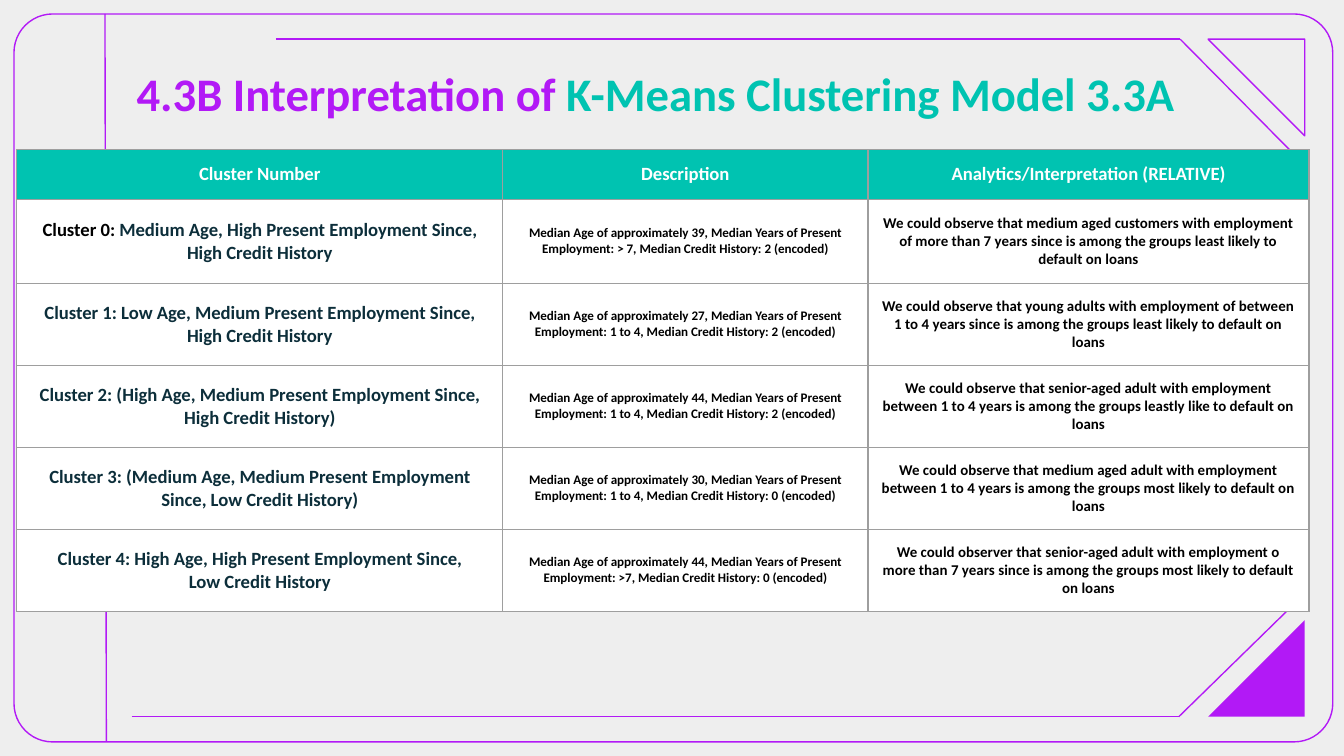
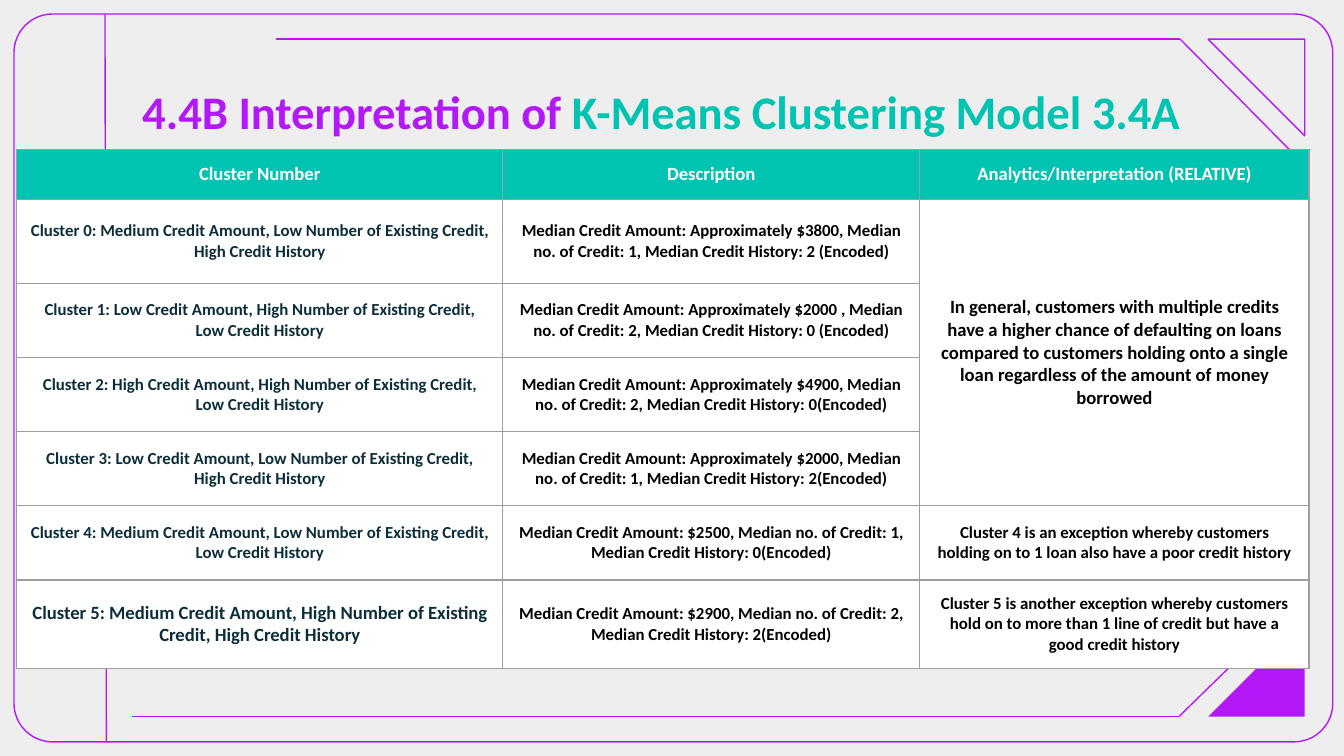
from dataclasses import dataclass, field
from typing import NamedTuple

from lxml.etree import SubElement
from pptx import Presentation
from pptx.dml.color import RGBColor
from pptx.enum.shapes import MSO_CONNECTOR, MSO_SHAPE
from pptx.enum.text import MSO_ANCHOR, MSO_AUTO_SIZE, PP_ALIGN
from pptx.oxml import parse_xml
from pptx.oxml.ns import nsdecls, qn
from pptx.util import Emu, Pt

PX = 9525  # 96 px to the inch
WIDTH, HEIGHT = 960, 540
FONT = "Calibri"
PAPER, WHITE, BLACK = "EEEEEE", "FFFFFF", "000000"
PURPLE, TEAL, NAVY, GRAY = "B219F6", "00C3B1", "0C2E3A", "9E9E9E"
THIN = 0.75
INSET = Emu(91440)
TABLE_X, TABLE_Y = 12, 107
HEAD_H, FIRST_H, ROW_H = 34, 60, 53
HEADS = ("Cluster Number", "Description", "Analytics/Interpretation (RELATIVE)")
INKS = (NAVY, BLACK, BLACK)


class Span(NamedTuple):
    text: str
    color: str


class Rule(NamedTuple):
    x1: int
    y1: int
    x2: int
    y2: int


class Box(NamedTuple):
    kind: MSO_SHAPE
    x: int
    y: int
    w: int
    h: int
    fill: str | None = None
    flip: bool = False
    turn: int = 0
    round: float | None = None


@dataclass
class Page:
    title: tuple[Span, Span]
    x: int
    y: int
    widths: tuple[int, ...]
    sizes: tuple[int, ...]
    rows: list[tuple]
    odd: dict[tuple[int, int], int] = field(default_factory=dict)
    merge: tuple[tuple[int, int], tuple[int, int]] | None = None


BOXES = (
    Box(MSO_SHAPE.ROUNDED_RECTANGLE, 10, 10, 942, 520, round=0.053),
    Box(MSO_SHAPE.RIGHT_TRIANGLE, 863, 443, 69, 69, fill=PURPLE, flip=True),
    Box(MSO_SHAPE.RIGHT_TRIANGLE, 863, 28, 69, 69, flip=True, turn=270),
)
RULES = (
    Rule(75, 10, 76, 530),
    Rule(94, 512, 842, 512),
    Rule(932, 424, 842, 512),
    Rule(197, 28, 843, 28),
    Rule(932, 118, 843, 28),
    Rule(932, 118, 932, 424),
)

PAGES = (
    Page(
        title=(Span("4.3B Interpretation of ", PURPLE),
               Span("K-Means Clustering Model 3.3A", TEAL)),
        x=88, y=44,
        widths=(347, 261, 315),
        sizes=(10, 7, 8),
        rows=[
            ((Span("Cluster 0: ", BLACK),
              Span("Medium Age, High Present Employment Since, High Credit History", NAVY)),
             "Median Age of approximately 39, Median Years of Present Employment: > 7, "
             "Median Credit History: 2 (encoded)",
             "We could observe that medium aged customers with employment of more than "
             "7 years since is among the groups least likely to default on loans"),
            ("Cluster 1: Low Age, Medium Present Employment Since, High Credit History",
             "Median Age of approximately 27, Median Years of Present Employment: 1 to 4, "
             "Median Credit History: 2 (encoded)",
             "We could observe that young adults with employment of between 1 to 4 years "
             "since is among the groups least likely to default on loans"),
            ("Cluster 2: (High Age, Medium Present Employment Since, High Credit History)",
             "Median Age of approximately 44, Median Years of Present Employment: 1 to 4, "
             "Median Credit History: 2 (encoded)",
             "We could observe that senior-aged adult with employment between 1 to 4 years "
             "is among the groups leastly like to default on loans"),
            ("Cluster 3: (Medium Age, Medium Present Employment Since, Low Credit History)",
             "Median Age of approximately 30, Median Years of Present Employment: 1 to 4, "
             "Median Credit History: 0 (encoded)",
             "We could observe that medium aged adult with employment between 1 to 4 years "
             "is among the groups most likely to default on loans"),
            ("Cluster 4: High Age, High Present Employment Since,\nLow Credit History",
             "Median Age of approximately 44, Median Years of Present Employment: >7, "
             "Median Credit History: 0 (encoded)",
             "We could observer that senior-aged adult with employment o more than 7 years "
             "since is among the groups most likely to default on loans"),
        ],
    ),
    Page(
        title=(Span("4.4B Interpretation of ", PURPLE),
               Span("K-Means Clustering Model 3.4A", TEAL)),
        x=92, y=57,
        widths=(347, 298, 278),
        sizes=(9, 9, 9),
        odd={(1, 2): 10, (6, 0): 10},
        merge=((1, 2), (4, 2)),
        rows=[
            ("Cluster 0: Medium Credit Amount, Low Number of Existing Credit, "
             "High Credit History",
             "Median Credit Amount: Approximately $3800, Median no. of Credit: 1, "
             "Median Credit History: 2 (Encoded)",
             "In general, customers with multiple credits have a higher chance of "
             "defaulting on loans compared to customers holding onto a single loan "
             "regardless of the amount of money borrowed"),
            ("Cluster 1: Low Credit Amount, High Number of Existing Credit,\n"
             "Low Credit History",
             "Median Credit Amount: Approximately $2000 , Median no. of Credit: 2, "
             "Median Credit History: 0 (Encoded)",
             None),
            ("Cluster 2: High Credit Amount, High Number of Existing Credit, "
             "Low Credit History",
             "Median Credit Amount: Approximately $4900, Median no. of Credit: 2, "
             "Median Credit History: 0(Encoded)",
             None),
            ("Cluster 3: Low Credit Amount, Low Number of Existing Credit,\n"
             "High Credit History",
             "Median Credit Amount: Approximately $2000, Median no. of Credit: 1, "
             "Median Credit History: 2(Encoded)",
             None),
            ("Cluster 4: Medium Credit Amount, Low Number of Existing Credit, "
             "Low Credit History",
             "Median Credit Amount: $2500, Median no. of Credit: 1, "
             "Median Credit History: 0(Encoded)",
             "Cluster 4 is an exception whereby customers holding on to 1 loan also "
             "have a poor credit history"),
            ("Cluster 5: Medium Credit Amount, High Number of Existing Credit, "
             "High Credit History",
             "Median Credit Amount: $2900, Median no. of Credit: 2, "
             "Median Credit History: 2(Encoded)",
             "Cluster 5 is another exception whereby customers hold on to more than "
             "1 line of credit but have a good credit history"),
        ],
    ),
)


def px(*values: int) -> list[Emu]:
    return [Emu(value * PX) for value in values]


def paint(target, color: str) -> None:
    """Give a fill or a line fill one solid colour."""
    target.solid()
    target.fore_color.rgb = RGBColor.from_string(color)


def stroke(line) -> None:
    paint(line.fill, PURPLE)
    line.width = Pt(THIN)


def write(frame, spans: tuple[Span, ...], size: int, align: PP_ALIGN) -> None:
    """Fill a text frame with bold spans; a line break starts a paragraph."""
    para = frame.paragraphs[0]
    para.alignment = align
    for span in spans:
        for index, text in enumerate(span.text.split("\n")):
            if index:
                para = frame.add_paragraph()
                para.alignment = align
            run = para.add_run()
            run.text = text
            run.font.name, run.font.size, run.font.bold = FONT, Pt(size), True
            paint(run.font.fill, span.color)


def draw_box(slide, box: Box):
    shape = slide.shapes.add_shape(box.kind, *px(box.x, box.y, box.w, box.h))
    shape.shadow.inherit = False
    if box.round is not None:
        shape.adjustments[0] = box.round
    if box.flip:
        shape.element.spPr.xfrm.set("flipH", "1")
    shape.rotation = box.turn
    if box.fill:
        paint(shape.fill, box.fill)
        shape.line.fill.background()
    else:
        shape.fill.background()
        stroke(shape.line)
    return shape


def draw_rule(slide, rule: Rule):
    shape = slide.shapes.add_connector(MSO_CONNECTOR.STRAIGHT, *px(*rule))
    stroke(shape.line)
    SubElement(shape.element.spPr, qn("a:effectLst"))
    return shape


def add_frame(slide) -> None:
    """Draw the shared frame, then hand it to the slide's layout."""
    layout = slide.slide_layout
    for holder in list(layout.placeholders)[1:]:
        layout.shapes.element.remove(holder.element)
    shapes = [draw_box(slide, box) for box in BOXES]
    shapes += [draw_rule(slide, rule) for rule in RULES]
    for shape in shapes:
        layout.shapes.element.append(shape.element)


def add_title(slide, page: Page) -> None:
    title = slide.shapes.title
    title.left, title.top, title.width, title.height = px(page.x, page.y, 776, 44)
    frame = title.text_frame
    frame.word_wrap, frame.auto_size = True, MSO_AUTO_SIZE.NONE
    frame.vertical_anchor = MSO_ANCHOR.MIDDLE
    frame.margin_left = frame.margin_right = INSET
    frame.margin_top = frame.margin_bottom = INSET
    write(frame, page.title, 25, PP_ALIGN.LEFT)


def add_edges(cell) -> None:
    props = cell._tc.get_or_add_tcPr()
    for index, side in enumerate("LRTB"):
        edge = parse_xml(
            f'<a:ln{side} {nsdecls("a")} w="{Pt(THIN)}"><a:solidFill>'
            f'<a:srgbClr val="{GRAY}"/></a:solidFill></a:ln{side}>')
        props.insert(index, edge)


def style_cell(cell, fill: str, anchor: MSO_ANCHOR) -> None:
    cell.margin_left = cell.margin_right = INSET
    cell.margin_top = cell.margin_bottom = INSET
    cell.vertical_anchor = anchor
    paint(cell.fill, fill)
    add_edges(cell)


def add_grid(slide, page: Page) -> None:
    heights = [HEAD_H, FIRST_H] + [ROW_H] * (len(page.rows) - 1)
    table = slide.shapes.add_table(
        len(heights), len(HEADS),
        *px(TABLE_X, TABLE_Y, sum(page.widths), sum(heights))).table
    table.first_row = table.horz_banding = False
    for column, width in zip(table.columns, px(*page.widths)):
        column.width = width
    for row, height in zip(table.rows, px(*heights)):
        row.height = height
    if page.merge:
        first, last = page.merge
        table.cell(*first).merge(table.cell(*last))
    for r, texts in enumerate([HEADS, *page.rows]):
        for c, text in enumerate(texts):
            cell = table.cell(r, c)
            head = r == 0
            style_cell(cell, TEAL if head else WHITE,
                       MSO_ANCHOR.TOP if head else MSO_ANCHOR.MIDDLE)
            if text is None:
                continue
            if isinstance(text, str):
                text = (Span(text, WHITE if head else INKS[c]),)
            size = 10 if head else page.odd.get((r, c), page.sizes[c])
            write(cell.text_frame, text, size, PP_ALIGN.CENTER)


def main() -> None:
    deck = Presentation()
    deck.slide_width, deck.slide_height = px(WIDTH, HEIGHT)
    paint(deck.slide_master.background.fill, PAPER)
    layout = deck.slide_layouts.get_by_name("Title Only")
    for index, page in enumerate(PAGES):
        slide = deck.slides.add_slide(layout)
        if index == 0:
            add_frame(slide)
        add_title(slide, page)
        add_grid(slide, page)
    deck.save("out.pptx")


if __name__ == "__main__":
    main()
